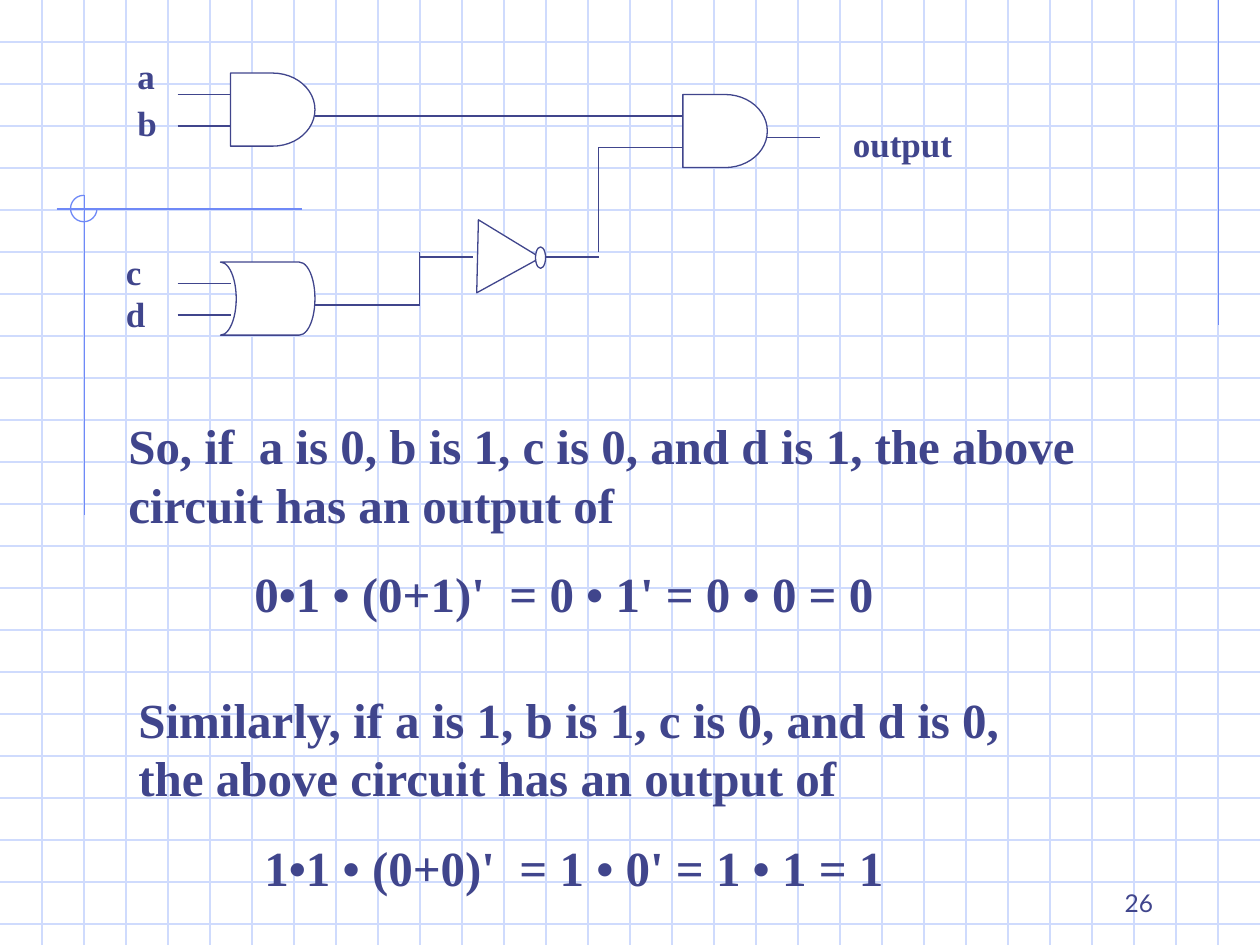
from lxml import etree
from pptx import Presentation
from pptx.dml.color import RGBColor
from pptx.enum.shapes import MSO_CONNECTOR, MSO_SHAPE
from pptx.enum.text import MSO_ANCHOR, PP_ALIGN
from pptx.oxml.ns import qn
from pptx.util import Inches, Pt

STRAIGHT = MSO_CONNECTOR.STRAIGHT
AND_GATE = MSO_SHAPE.FLOWCHART_DELAY
OR_GATE = MSO_SHAPE.FLOWCHART_STORED_DATA
TRIANGLE = MSO_SHAPE.FLOWCHART_EXTRACT
BUBBLE = MSO_SHAPE.FLOWCHART_CONNECTOR
ARC = MSO_SHAPE.ARC
LEFT, RIGHT = PP_ALIGN.LEFT, PP_ALIGN.RIGHT
TOP, BOTTOM = MSO_ANCHOR.TOP, MSO_ANCHOR.BOTTOM

COLORS = {"ink": "40458C", "grid": "CFDBFD", "accent": "6F89F7", "white": "FFFFFF"}
SERIF, SANS = "Times New Roman", "Lato"
GRID_STEP = 1 / 3
LEAD = 0.42


def rgb(name):
    """Return the named palette colour."""
    return RGBColor.from_string(COLORS[name])


def add_line(s, x1, y1, x2, y2, color="ink"):
    """Draw a thin straight line without a shadow."""
    line = s.shapes.add_connector(STRAIGHT, Inches(x1), Inches(y1), Inches(x2), Inches(y2))
    line.line.color.rgb = rgb(color)
    line.line.width = Pt(0.75)
    etree.SubElement(line._element.spPr, qn("a:effectLst"))


def add_wire(s, *points):
    """Join successive points with straight lines."""
    for start, end in zip(points, points[1:]):
        add_line(s, *start, *end)


def add_outline(s, kind, x, y, w, h, color="ink", fill="white"):
    """Draw a thinly outlined preset shape, unfilled when fill is None."""
    sp = s.shapes.add_shape(kind, Inches(x), Inches(y), Inches(w), Inches(h))
    sp.shadow.inherit = False
    if fill:
        sp.fill.solid()
        sp.fill.fore_color.rgb = rgb(fill)
    else:
        sp.fill.background()
    sp.line.color.rgb = rgb(color)
    sp.line.width = Pt(0.75)
    return sp


def add_text(s, x, y, w, h, *lines, size=28, font=SERIF, bold=True, align=LEFT,
             anchor=TOP, spacing=None, gap=0, inset=0.1):
    """Add a text box with one paragraph for each line."""
    tf = s.shapes.add_textbox(Inches(x), Inches(y), Inches(w), Inches(h)).text_frame
    tf.word_wrap = True
    tf.vertical_anchor = anchor
    tf.margin_left = Inches(inset)
    for i, line in enumerate(lines):
        p = tf.paragraphs[0] if i == 0 else tf.add_paragraph()
        if "\t" in line:
            tabs = etree.SubElement(p._p.get_or_add_pPr(), qn("a:tabLst"))
            etree.SubElement(tabs, qn("a:tab"), pos=str(Inches(1)), algn="l")
        p.alignment = align
        if spacing:
            p.line_spacing = spacing
        if i:
            p.space_before = Pt(gap)
        r = p.add_run()
        r.text = line
        r.font.size = Pt(size)
        r.font.name = font
        r.font.bold = bold
        r.font.color.rgb = rgb("ink")


def draw_background(s, x, y, w, h):
    """Draw the graph paper and its accent lines."""
    for i in range(1, int(h / GRID_STEP) + 1):
        add_line(s, x, y + i * GRID_STEP, x + w, y + i * GRID_STEP, "grid")
    for i in range(1, int(w / GRID_STEP)):
        add_line(s, x + i * GRID_STEP, y, x + i * GRID_STEP, y + h, "grid")
    add_line(s, x + 9.67, y, x + 9.67, y + 2.58, "accent")
    add_line(s, x + 0.45, y + 1.66, x + 2.4, y + 1.66, "accent")
    add_line(s, x + 0.67, y + 1.55, x + 0.67, y + 4.09, "accent")
    arc = add_outline(s, ARC, x + 0.56, y + 1.55, 0.21, 0.21, "accent", None)
    arc.adjustments[0] = 0
    arc.adjustments[1] = 162


def draw_gate(s, kind, x, y, w, h, inset=0):
    """Draw a two-input gate with its leads."""
    sp = add_outline(s, kind, x, y, w, h)
    if kind == OR_GATE:
        sp._element.spPr.xfrm.set("flipH", "1")
    for dy in (0.17, 0.42):
        add_line(s, x + inset - LEAD, y + dy, x + inset, y + dy)
    add_line(s, x + w, y + 0.34, x + w + LEAD, y + 0.34)


def draw_inverter(s, x, y, w, h):
    """Draw an inverter with its leads."""
    mid = y + h / 2
    add_outline(s, TRIANGLE, x, y, w, h).rotation = 91.3
    add_outline(s, BUBBLE, x + w - 0.08, mid - 0.08, 0.08, 0.17)
    add_line(s, x - LEAD, mid, x, mid)
    add_line(s, x + w, mid, x + w + LEAD, mid)


def draw_circuit(s, x, y):
    """Draw the gates, wires and labels of the circuit."""
    draw_gate(s, AND_GATE, x + 1, y + 0.08, 0.67, 0.58)
    draw_gate(s, AND_GATE, x + 4.59, y + 0.25, 0.67, 0.58)
    draw_gate(s, OR_GATE, x + 0.92, y + 1.58, 0.75, 0.58, inset=0.08)
    draw_inverter(s, x + 2.92, y + 1.29, 0.58, 0.5)
    add_wire(s, (x + 2.09, y + 0.42), (x + 4.17, y + 0.42))
    add_wire(s, (x + 2.09, y + 1.92), (x + 2.5, y + 1.92), (x + 2.5, y + 1.5))
    add_wire(s, (x + 3.92, y + 1.5), (x + 3.92, y + 0.67), (x + 4.17, y + 0.67))
    label = {"size": 20, "gap": 12.5, "inset": 0.17}
    add_text(s, x + 0.09, y, 0.5, 0.68, "a", "b", spacing=0.6, **label)
    add_text(s, x, y + 1.58, 0.5, 0.61, "c", "d", spacing=0.5, **label)
    add_text(s, x + 5.84, y + 0.42, 1.25, 0.44, "output", size=20)


def draw_example(s, x, y, w, h, statement, result):
    """Place a worked example with its indented result."""
    add_text(s, x, y, w, h, statement, "\t" + result, gap=17.5)


def main():
    """Build and save the slide."""
    prs = Presentation()
    prs.slide_width, prs.slide_height = Inches(10), Inches(7.5)
    s = prs.slides.add_slide(prs.slide_layouts[6])
    draw_background(s, 0, 0, 10, 7.5)
    draw_circuit(s, 0.83, 0.5)
    draw_example(s, 0.92, 3.25, 7.75, 1.75,
                 "So, if  a is 0, b is 1, c is 0, and d is 1, the above circuit has an output of",
                 "0•1 • (0+1)'  = 0 • 1' = 0 • 0 = 0")
    draw_example(s, 1, 5.42, 7.42, 1.75,
                 "Similarly, if a is 1, b is 1, c is 0, and d is 0, the above circuit has an output of",
                 "1•1 • (0+0)'  = 1 • 0' = 1 • 1 = 1")
    add_text(s, 7.17, 6.83, 2.08, 0.5, "26", size=14, font=SANS, bold=False,
             align=RIGHT, anchor=BOTTOM)
    prs.save("out.pptx")


if __name__ == "__main__":
    main()
